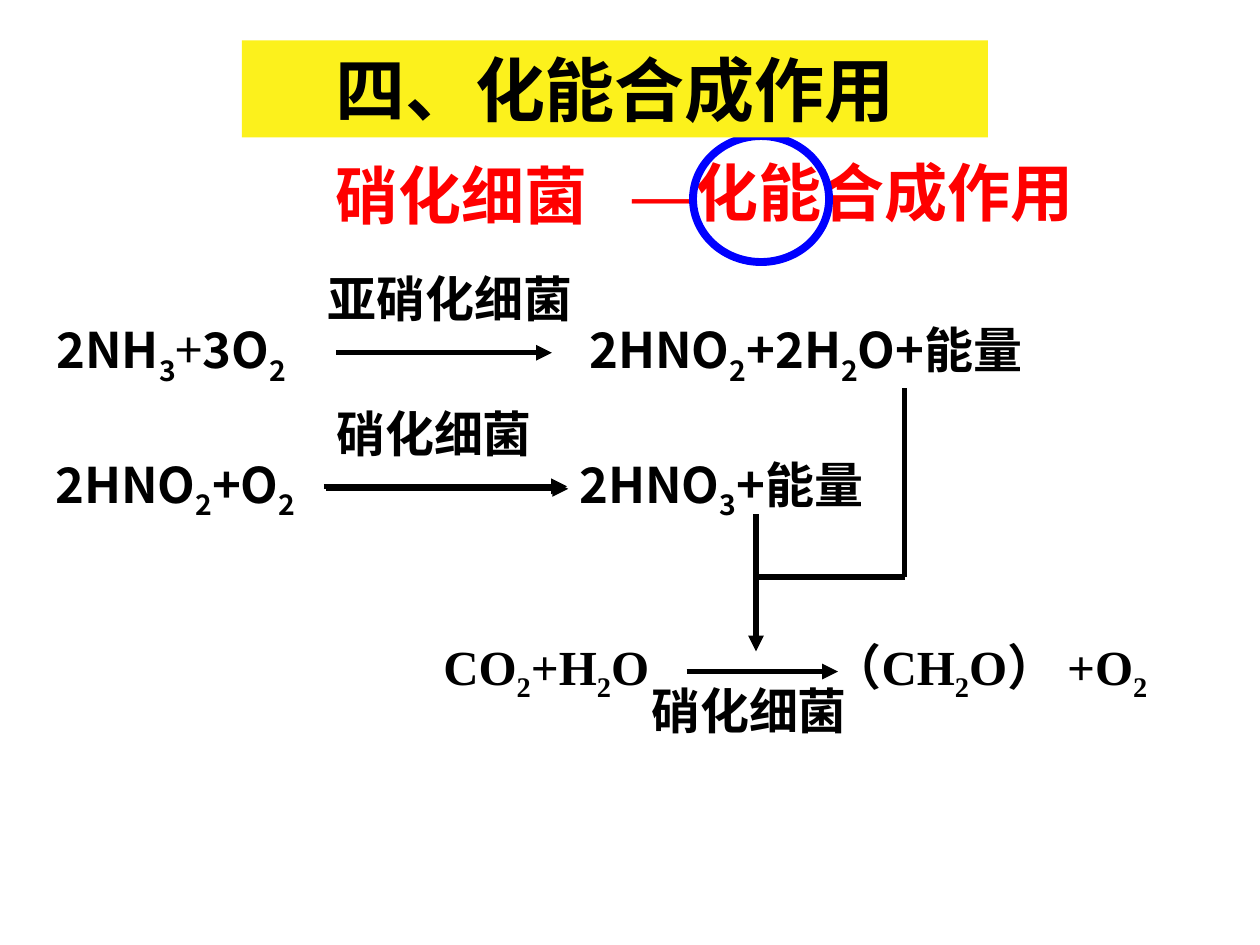
from lxml import etree
from pptx import Presentation
from pptx.dml.color import RGBColor
from pptx.enum.shapes import MSO_CONNECTOR, MSO_SHAPE
from pptx.enum.text import MSO_ANCHOR, PP_ALIGN
from pptx.oxml.ns import qn
from pptx.util import Inches, Pt

STRAIGHT = MSO_CONNECTOR.STRAIGHT
OVAL, RECTANGLE = MSO_SHAPE.OVAL, MSO_SHAPE.RECTANGLE
MIDDLE, CENTER = MSO_ANCHOR.MIDDLE, PP_ALIGN.CENTER
BLACK = RGBColor(0x00, 0x00, 0x00)
RED = RGBColor(0xFF, 0x00, 0x00)
BLUE = RGBColor(0x00, 0x00, 0xFF)
YELLOW = RGBColor(0xFC, 0xF1, 0x1C)
SANS, SERIF = "Noto Sans CJK SC", "Times New Roman"

# Content: "_" lowers the next character, "~" makes it regular weight
BANNER = "四、化能合成作用"
TITLE = "硝化细菌"
SUBTITLE = [("—", SERIF), ("化能合成作用", SANS)]

# Reaction rows (tops) and the joint of the energy path
ROW_1, ROW_2, ROW_3 = 2.49, 3.56, 5.0
LABEL_RISE, LABEL_DROP = 0.41, 0.35
TEXT_HEIGHT = 0.57
ENERGY_X1, ENERGY_X2, JOINT_Y = 7.18, 6.0, 4.58

# Text, font, left, top, width
FORMULAS = [
    ("2NH_3~+3O_2", SANS, 0.35, ROW_1, 2.22),
    ("2HNO_2+2H_2O+能量", SANS, 4.58, ROW_1, 3.83),
    ("亚硝化细菌", SANS, 2.5, ROW_1 - LABEL_RISE, 2.29),
    ("2HNO_2+O_2", SANS, 0.34, ROW_2, 2.53),
    ("硝化细菌", SANS, 2.57, ROW_2 - LABEL_RISE, 2.84),
    ("2HNO_3+能量", SANS, 4.5, ROW_2, 3.85),
    ("CO_2+H_2O", SERIF, 3.42, ROW_3, 1.93),
    ("（CH_2O） +O_2", SERIF, 6.51, ROW_3, 3.24),
    ("硝化细菌", SANS, 5.07, ROW_3 + LABEL_DROP, 1.76),
]

# Start x, start y, end x, end y, arrowhead
LINES = [
    (2.67, 2.8, 4.38, 2.8, True),
    (2.57, 3.86, 4.5, 3.86, True),
    (2.59, 3.88, 4.51, 3.88, True),
    (ENERGY_X1, 3.08, ENERGY_X1, JOINT_Y, False),
    (ENERGY_X2, 4.08, ENERGY_X2, 5.17, True),
    (ENERGY_X2, JOINT_Y, ENERGY_X1, JOINT_Y, False),
    (5.45, 5.33, 6.65, 5.33, True),
]


def split_runs(text):
    """Return [text, mark] pairs, joining neighbours with the same mark."""
    runs, mark = [], ""
    for character in text:
        if character in "_~":
            mark = character
            continue
        if runs and runs[-1][1] == mark:
            runs[-1][0] += character
        else:
            runs.append([character, mark])
        mark = ""
    return runs


def add_runs(paragraph, text, font_name, size, color):
    for part, mark in split_runs(text):
        run = paragraph.add_run()
        run.text = part
        values = {"name": font_name, "size": Pt(size), "bold": mark != "~"}
        for name, value in values.items():
            setattr(run.font, name, value)
        run.font.color.rgb = color
        properties = run.font._element
        east_asian = etree.SubElement(properties, qn("a:ea"))
        east_asian.set("typeface", font_name if part == "—" else SANS)
        if mark == "_":
            properties.set("baseline", "-25000")


def add_text(slide, box, runs, size, color):
    frame = slide.shapes.add_textbox(*map(Inches, box)).text_frame
    frame.word_wrap = True
    for text, font_name in runs:
        add_runs(frame.paragraphs[0], text, font_name, size, color)


def add_line(slide, start_x, start_y, end_x, end_y, arrow):
    ends = map(Inches, (start_x, start_y, end_x, end_y))
    connector = slide.shapes.add_connector(STRAIGHT, *ends)
    connector.line.color.rgb = BLACK
    connector.line.width = Pt(3)
    if arrow:
        head = etree.SubElement(connector.line._get_or_add_ln(), qn("a:tailEnd"))
        head.set("type", "triangle")
    etree.SubElement(connector._element.spPr, qn("a:effectLst"))


def fill_centered(frame, text, size, color):
    frame.word_wrap = True
    frame.vertical_anchor = MIDDLE
    frame.paragraphs[0].alignment = CENTER
    add_runs(frame.paragraphs[0], text, SANS, size, color)


def main():
    presentation = Presentation()
    presentation.slide_width, presentation.slide_height = Inches(10), Inches(7.5)
    slide = presentation.slides.add_slide(presentation.slide_layouts[5])

    # Title
    title = slide.shapes.title
    place = {"left": 2.33, "top": 1.25, "width": 2.67, "height": 0.58}
    for name, value in place.items():
        setattr(title, name, Inches(value))
    fill_centered(title.text_frame, TITLE, 36, RED)

    # Reactions and energy path
    for text, font_name, left, top, width in FORMULAS:
        box = (left, top, width, TEXT_HEIGHT)
        add_text(slide, box, [(text, font_name)], 28, BLACK)
    for line in LINES:
        add_line(slide, *line)

    # Subtitle with its ring
    add_text(slide, (4.92, 1.17, 3.92, 0.7), SUBTITLE, 36, RED)
    ring = slide.shapes.add_shape(OVAL, *map(Inches, (5.5, 1.08, 1.08, 1)))
    ring.shadow.inherit = False
    ring.fill.background()
    ring.line.color.rgb = BLUE
    ring.line.width = Pt(4.5)

    # Banner, covering the top of the ring
    banner = slide.shapes.add_shape(RECTANGLE, *map(Inches, (1.92, 0.32, 5.92, 0.77)))
    banner.shadow.inherit = False
    banner.fill.solid()
    banner.fill.fore_color.rgb = YELLOW
    banner.line.fill.background()
    fill_centered(banner.text_frame, BANNER, 40, BLACK)

    presentation.save("out.pptx")


if __name__ == "__main__":
    main()
